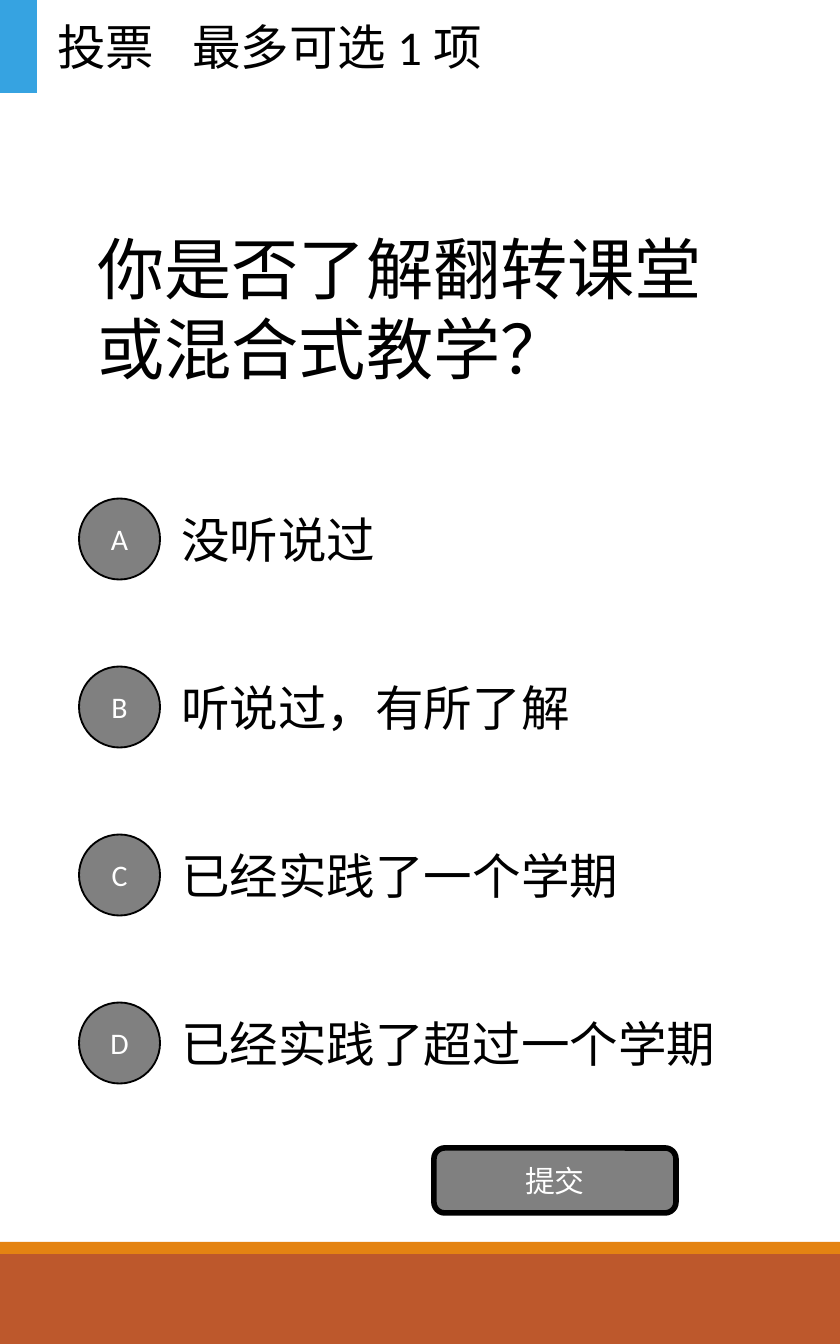
from pptx import Presentation
from pptx.dml.color import RGBColor
from pptx.enum.shapes import MSO_SHAPE
from pptx.enum.text import MSO_ANCHOR, PP_ALIGN
from pptx.util import Emu, Pt

# Content
HEADING = "投票"
LIMIT = "最多可选 1 项"
QUESTION = "你是否了解翻转课堂或混合式教学？"
OPTIONS = [
    ("A", "没听说过"),
    ("B", "听说过，有所了解"),
    ("C", "已经实践了一个学期"),
    ("D", "已经实践了超过一个学期"),
]
SUBMIT = "提交"

COLORS = {
    "blue": "36A3E1", "orange": "E48312", "rust": "BD582C",
    "gray": "808080", "black": "000000", "white": "FFFFFF",
}

# Layout in px
WIDTH, HEIGHT = 840, 1344
EMU_PER_PX = 914400 / 134.4
HEADER_HEIGHT = 93
OPTION_TOP, OPTION_STEP, OPTION_HEIGHT = 476, 168, 126
BADGE_LEFT, BADGE_SIZE = 79, 81


def px(value):
    return Emu(round(value * EMU_PER_PX))


def color(name):
    return RGBColor.from_string(COLORS[name])


def write(shape, text, size, text_color, font="Calibri", align=PP_ALIGN.LEFT):
    frame = shape.text_frame
    frame.text = text
    frame.word_wrap = True
    frame.vertical_anchor = MSO_ANCHOR.MIDDLE
    para = frame.paragraphs[0]
    para.alignment = align
    for span in para.runs:
        span.font.size = Pt(size)
        span.font.name = font
        span.font.color.rgb = color(text_color)


def add_text(page, box, text, size=26, font="Calibri"):
    shape = page.shapes.add_textbox(*map(px, box))
    write(shape, text, size, "black", font)


def add_block(page, kind, box, fill, line_width=0):
    shape = page.shapes.add_shape(kind, *map(px, box))
    shape.shadow.inherit = False
    shape.fill.solid()
    shape.fill.fore_color.rgb = color(fill)
    if line_width:
        shape.line.color.rgb = color("black")
        shape.line.width = Pt(line_width)
    else:
        shape.line.fill.background()
    return shape


def add_button(page, kind, box, text, line_width):
    shape = add_block(page, kind, box, "gray", line_width)
    shape.text_frame.margin_left = shape.text_frame.margin_right = 0
    write(shape, text, 16, "white", align=PP_ALIGN.CENTER)


def main():
    deck = Presentation()
    deck.slide_width, deck.slide_height = px(WIDTH), px(HEIGHT)
    page = deck.slides.add_slide(deck.slide_layouts[6])

    # Footer bands
    add_block(page, MSO_SHAPE.RECTANGLE, (0, 1254, WIDTH, 90), "rust")
    add_block(page, MSO_SHAPE.RECTANGLE, (0, 1242, WIDTH, 12), "orange")

    # Header
    add_block(page, MSO_SHAPE.RECTANGLE, (0, 0, 37, HEADER_HEIGHT), "blue")
    add_text(page, (44, 0, 187, HEADER_HEIGHT), HEADING)
    add_text(page, (179, 0, 374, HEADER_HEIGHT), LIMIT)

    # Question
    add_text(page, (84, 149, 672, 317), QUESTION, 36, "Arial")

    # Options, each with a lettered badge
    for index, (letter, answer) in enumerate(OPTIONS):
        top = OPTION_TOP + index * OPTION_STEP
        badge_top = top + (OPTION_HEIGHT - BADGE_SIZE) / 2
        add_text(page, (168, top, 588, OPTION_HEIGHT), answer)
        add_button(page, MSO_SHAPE.OVAL,
                   (BADGE_LEFT, badge_top, BADGE_SIZE, BADGE_SIZE), letter, 1)

    # Submit button
    add_button(page, MSO_SHAPE.ROUNDED_RECTANGLE, (434, 1148, 242, 65), SUBMIT, 3)

    deck.save("out.pptx")


if __name__ == "__main__":
    main()
